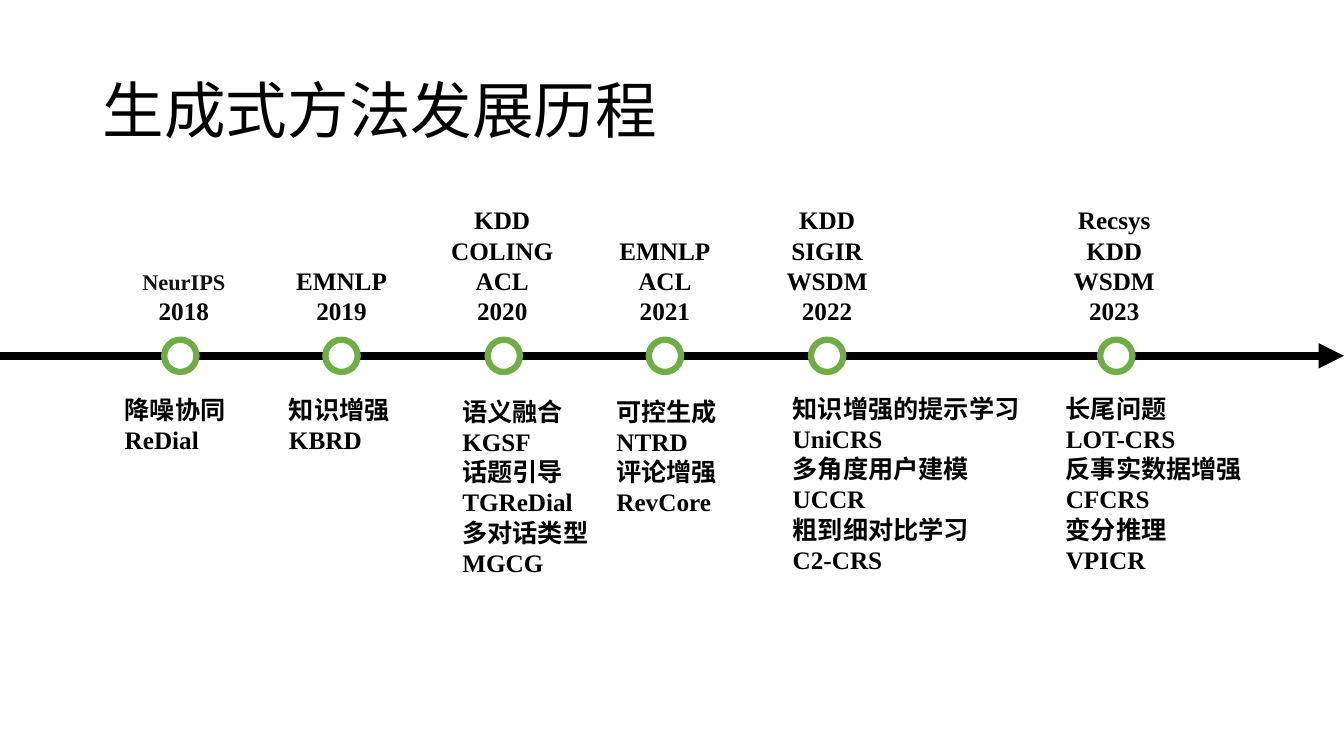
"""Build the timeline slide on the development of generative methods."""
from dataclasses import dataclass

from lxml import etree
from pptx import Presentation
from pptx import util as u
from pptx.dml.color import RGBColor
from pptx.enum import shapes, text
from pptx.oxml.ns import qn

BLACK = RGBColor(0x00, 0x00, 0x00)
NEAR_BLACK = RGBColor(0x12, 0x12, 0x12)
WHITE = RGBColor(0xFF, 0xFF, 0xFF)
GREEN = RGBColor(0x70, 0xAD, 0x47)
LATIN_FONT = "Times New Roman"
CJK_FONT = "Noto Sans CJK SC"

SLIDE_WIDTH, SLIDE_HEIGHT = 13.34, 7.5
AXIS_Y = 3.53
MARKER_SIZE = 0.32
VENUE_BOTTOM = 3.28
LINE_HEIGHT = 0.3
BOX_PADDING = 0.1


@dataclass(frozen=True)
class Milestone:
    """A year on the axis with its venues above and its methods below."""
    marker_left: float
    venue_left: float
    venue_width: float
    venues: str
    method_left: float
    method_top: float
    method_width: float
    methods: str
    venue_size: int = 18
    venue_color: RGBColor = BLACK


MILESTONES = [
    Milestone(1.63, 1.29, 1.07, "NeurIPS\n2018",
              1.14, 3.86, 2.44, "降噪协同\nReDial", 16, NEAR_BLACK),
    Milestone(3.23, 2.81, 1.16, "EMNLP\n2019",
              2.77, 3.86, 1.88, "知识增强\nKBRD"),
    Milestone(4.84, 4.33, 1.31, "KDD\nCOLING\nACL\n2020",
              4.49, 3.88, 1.88,
              "语义融合\nKGSF\n话题引导\nTGReDial\n多对话类型\nMGCG"),
    Milestone(6.44, 6.02, 1.16, "EMNLP\nACL\n2021",
              6.02, 3.88, 1.88, "可控生成\nNTRD\n评论增强\nRevCore"),
    Milestone(8.05, 7.63, 1.16, "KDD\nSIGIR\nWSDM\n2022",
              7.77, 3.85, 2.59,
              "知识增强的提示学习\nUniCRS\n多角度用户建模\nUCCR\n粗到细对比学习\nC2-CRS"),
    Milestone(10.92, 10.48, 1.16, "Recsys\nKDD\nWSDM\n2023",
              10.48, 3.85, 2.01,
              "长尾问题\nLOT-CRS\n反事实数据增强\nCFCRS\n变分推理\nVPICR"),
]


def format_paragraph(paragraph, size: int, color: RGBColor, bold: bool) -> None:
    """Format every run, choosing the font by script."""
    for run in paragraph.runs:
        run.font.name = LATIN_FONT if run.text.isascii() else CJK_FONT
        run.font.size = u.Pt(size)
        run.font.bold = bold
        run.font.color.rgb = color
        east_asian = etree.SubElement(run.font._element, qn("a:ea"))
        east_asian.set("typeface", CJK_FONT)


def add_label(slide, left: float, top: float, width: float, wording: str,
              align: text.PP_ALIGN):
    """Add a bold label with one paragraph per line and return its frame."""
    height = LINE_HEIGHT * len(wording.split("\n")) + BOX_PADDING
    frame = slide.shapes.add_textbox(u.Inches(left), u.Inches(top),
                                     u.Inches(width), u.Inches(height)).text_frame
    frame.word_wrap = True
    frame.text = wording
    for paragraph in frame.paragraphs:
        paragraph.alignment = align
        format_paragraph(paragraph, 18, BLACK, True)
    return frame


def add_title(slide) -> None:
    """Fill and place the title placeholder."""
    title = slide.shapes.title
    title.left, title.top = u.Inches(0.92), u.Inches(0.4)
    title.width, title.height = u.Inches(11.5), u.Inches(1.45)
    frame = title.text_frame
    frame.text = "生成式方法发展历程"
    frame.vertical_anchor = text.MSO_ANCHOR.MIDDLE
    heading = frame.paragraphs[0]
    heading.alignment = text.PP_ALIGN.LEFT
    heading.line_spacing = 0.9
    format_paragraph(heading, 44, BLACK, False)


def add_axis(slide) -> None:
    """Draw the time axis with its arrowhead."""
    axis = slide.shapes.add_connector(
        shapes.MSO_CONNECTOR.STRAIGHT, u.Inches(0), u.Inches(AXIS_Y),
        u.Inches(SLIDE_WIDTH), u.Inches(AXIS_Y))
    axis.line.color.rgb = BLACK
    axis.line.width = u.Pt(6)
    etree.SubElement(axis.line._get_or_add_ln(), qn("a:tailEnd")).set("type", "triangle")
    etree.SubElement(axis._element.spPr, qn("a:effectLst"))


def add_milestone(slide, milestone: Milestone) -> None:
    """Draw one marker with its venues and methods."""
    marker = slide.shapes.add_shape(
        shapes.MSO_SHAPE.OVAL, u.Inches(milestone.marker_left),
        u.Inches(AXIS_Y - MARKER_SIZE / 2), u.Inches(MARKER_SIZE), u.Inches(MARKER_SIZE))
    marker.shadow.inherit = False
    marker.fill.solid()
    marker.fill.fore_color.rgb = WHITE
    marker.line.color.rgb = GREEN
    marker.line.width = u.Pt(4.5)

    venue_height = LINE_HEIGHT * len(milestone.venues.split("\n")) + BOX_PADDING
    venues = add_label(slide, milestone.venue_left, VENUE_BOTTOM - venue_height,
                       milestone.venue_width, milestone.venues, text.PP_ALIGN.CENTER)
    venues.vertical_anchor = text.MSO_ANCHOR.BOTTOM
    first_venue = venues.paragraphs[0].runs[0].font
    first_venue.size = u.Pt(milestone.venue_size)
    first_venue.color.rgb = milestone.venue_color

    add_label(slide, milestone.method_left, milestone.method_top,
              milestone.method_width, milestone.methods, text.PP_ALIGN.LEFT)


def main() -> None:
    """Build and save the presentation."""
    presentation = Presentation()
    presentation.slide_width = u.Inches(SLIDE_WIDTH)
    presentation.slide_height = u.Inches(SLIDE_HEIGHT)
    slide = presentation.slides.add_slide(presentation.slide_layouts[5])
    add_title(slide)
    add_axis(slide)
    for milestone in MILESTONES:
        add_milestone(slide, milestone)
    presentation.save("out.pptx")


if __name__ == "__main__":
    main()
